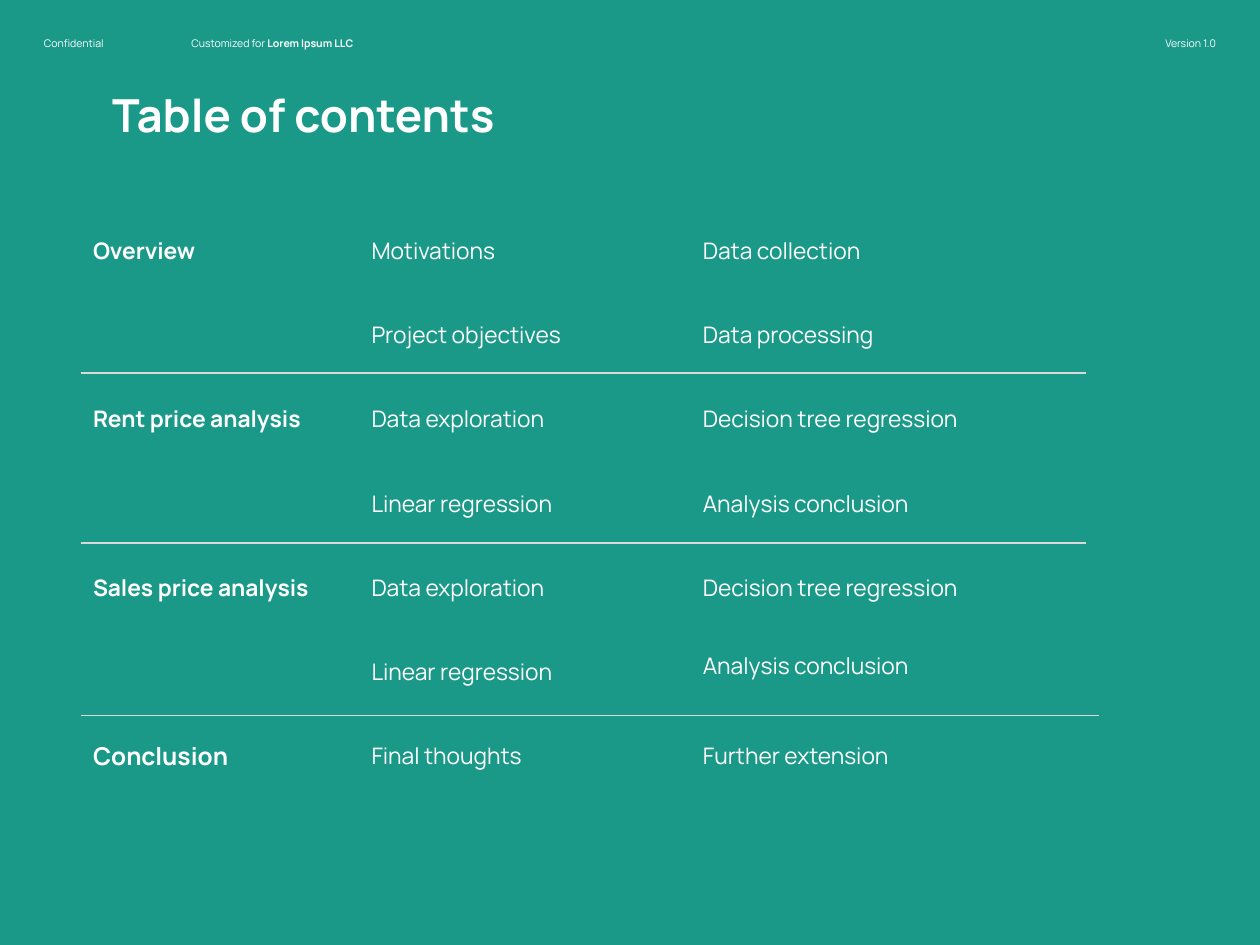
from pptx import Presentation
from pptx.dml.color import RGBColor
from pptx.enum import shapes, text
from pptx.oxml.ns import qn
from pptx.util import Inches, Pt


def tint(code):
    return RGBColor.from_string(code)


def write(shape, *parts, size=13, bold=False, align=text.PP_ALIGN.LEFT,
          anchor=text.MSO_ANCHOR.MIDDLE):
    """Fill a shape with one paragraph; each part is a string or (string, bold)."""
    frame = shape.text_frame
    frame.word_wrap = True
    frame.auto_size = text.MSO_AUTO_SIZE.NONE
    frame.vertical_anchor = anchor
    frame.margin_left = frame.margin_right = Inches(0.1)
    frame.margin_top = frame.margin_bottom = Inches(0.1)
    para = frame.paragraphs[0]
    para.alignment = align
    for part in parts:
        words, heavy = (part, bold) if isinstance(part, str) else part
        run = para.add_run()
        run.text = words
        run.font.name = "Manrope"
        run.font.size = Pt(size)
        run.font.bold = heavy
        run.font.color.rgb = tint("FFFFFF")


deck = Presentation()
deck.slide_width, deck.slide_height = Inches(10), Inches(7.5)
slide = deck.slides.add_slide(deck.slide_layouts[5])
slide.background.fill.solid()
slide.background.fill.fore_color.rgb = tint("1A9988")
high = Inches(0.47)

# Header strip
left, right = text.PP_ALIGN.LEFT, text.PP_ALIGN.RIGHT
header = [
    (0.25, 1.09, left, ["Confidential"]),
    (1.42, 2.3, left, ["Customized for ", ("Lorem Ipsum LLC", True)]),
    (8.98, 0.77, right, ["Version 1.0"]),
]
for x, wide, side, parts in header:
    box = slide.shapes.add_textbox(Inches(x), Inches(0.11), Inches(wide), high)
    write(box, *parts, size=6, align=side)

# Title
title = slide.shapes.title
title.left, title.top = Inches(0.79), Inches(0.59)
title.width, title.height = Inches(8.41), Inches(0.78)
write(title, "Table of contents", size=26, bold=True, anchor=text.MSO_ANCHOR.TOP)

# Contents grid: (text, box width) in each column, one row per step
cols = [0.64, 2.85, 5.48]
top, step = 1.75, 0.669
rows = [
    [("Overview", 1.76), ("Motivations", 1.79), ("Data collection", 1.79)],
    [None, ("Project objectives", 1.79), ("Data processing", 1.79)],
    [("Rent price analysis", 2.06), ("Data exploration", 1.79),
     ("Decision tree regression", 2.8)],
    [None, ("Linear regression", 2.15), ("Analysis conclusion", 2.15)],
    [("Sales price analysis", 2), ("Data exploration", 1.79),
     ("Decision tree regression", 2.64)],
    [None, ("Linear regression", 1.79), ("Analysis conclusion", 2.15)],
    [("Conclusion", 1.76), ("Final thoughts", 1.79), ("Further extension", 1.79)],
]
nudge = {(5, 2): -0.05}  # this entry sits slightly above its row
large = {(6, 0): 14}
for r, row in enumerate(rows):
    for c, cell in enumerate(row):
        if cell:
            words, wide = cell
            y = top + r * step + nudge.get((r, c), 0)
            box = slide.shapes.add_textbox(
                Inches(cols[c]), Inches(y), Inches(wide), high)
            write(box, words, size=large.get((r, c), 13), bold=c == 0)

# Section rules
for y, end in [(2.96, 8.62), (4.31, 8.62), (5.68, 8.72)]:
    rule = slide.shapes.add_connector(
        shapes.MSO_CONNECTOR.STRAIGHT, Inches(cols[0]), Inches(y), Inches(end), Inches(y))
    rule.line.color.rgb = tint("D9D9D9")
    rule.line.width = Pt(0.75)
    props = rule.element.spPr
    props.append(props.makeelement(qn("a:effectLst"), {}))

deck.save("out.pptx")
